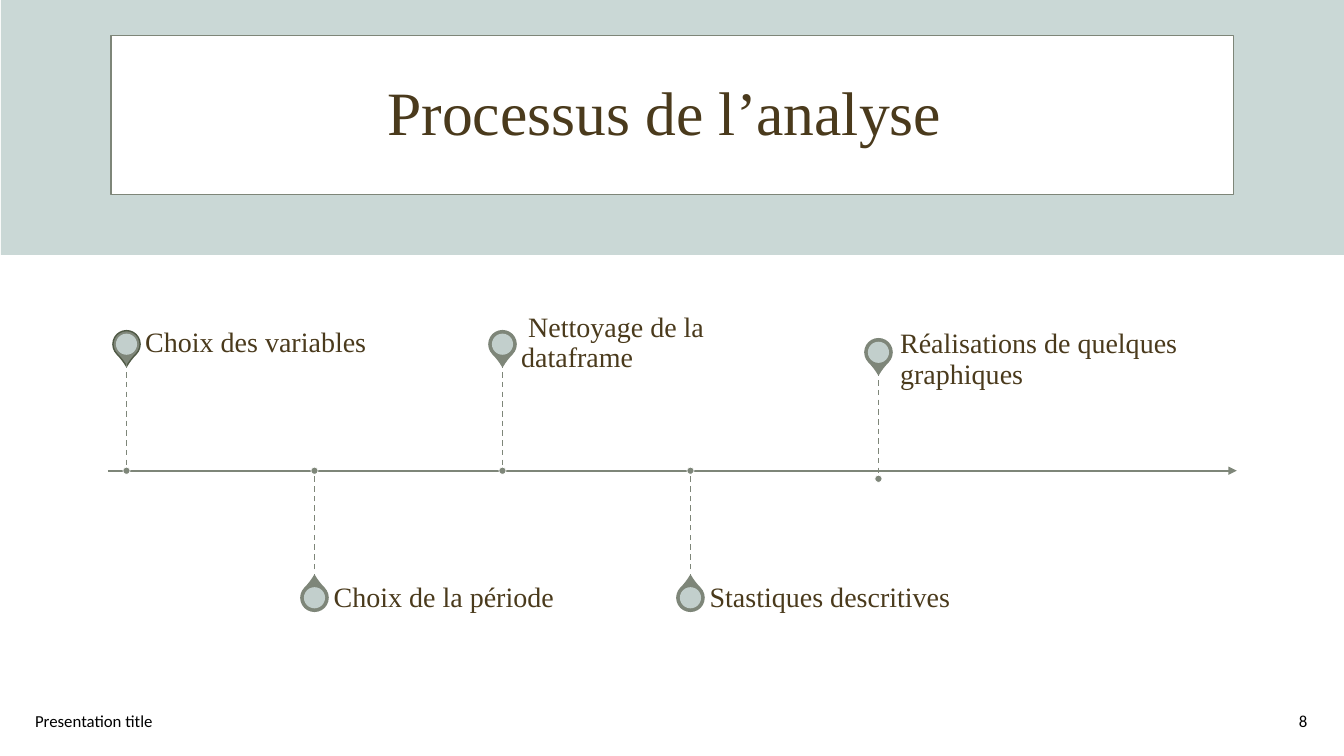
from dataclasses import dataclass

from pptx import Presentation
from pptx import util as u
from pptx.dml.color import RGBColor
from pptx.enum import dml, shapes, text
from pptx.oxml.ns import qn
from lxml import etree


@dataclass(frozen=True)
class Theme:
    pale: str = "CAD8D6"
    white: str = "FFFFFF"
    sage: str = "7E8679"
    moss: str = "4F5945"
    brown: str = "4A3A1C"
    black: str = "000000"
    serif: str = "Times New Roman"
    sans: str = "Calibri"
    title: int = 44
    label: int = 20
    footer: int = 12


THEME = Theme()
SHAPE = shapes.MSO_SHAPE
ALIGN = text.PP_ALIGN

# Square grid: ten cells to the inch
COLUMNS, ROWS = 133.33, 75
FIRST_PIN, PIN_STEP = 12.55, 18.65
AXIS_ROW, STEM, HEAD, DISC, DOT = 46.7, 10.75, 2.7, 2.1, 0.7
LABEL_INSETS = (0, 0, 1.4, 0)


def cells(count):
    return u.Inches(count / 10)


def colour(code):
    return RGBColor.from_string(code)


def set_all(thing, values):
    for name, value in values.items():
        setattr(thing, name, value)


def write(box, words, size, font, ink, align=ALIGN.LEFT, spacing=1.0, insets=None):
    frame = box.text_frame
    set_all(frame, {"word_wrap": True, "auto_size": text.MSO_AUTO_SIZE.NONE,
                    "vertical_anchor": text.MSO_ANCHOR.MIDDLE})
    if insets:
        sides = ("left", "top", "right", "bottom")
        set_all(frame, {f"margin_{side}": cells(inset)
                        for side, inset in zip(sides, insets)})
    para = frame.paragraphs[0]
    set_all(para, {"alignment": align, "line_spacing": spacing})
    span = para.add_run()
    span.text = words
    set_all(span.font, {"size": u.Pt(size), "name": font, "bold": False})
    span.font.color.rgb = colour(ink)


def add_text(page, place, *args, **options):
    write(page.shapes.add_textbox(*map(cells, place)), *args, **options)


def add_figure(page, kind, place, fill, line=None, weight=1):
    figure = page.shapes.add_shape(kind, *map(cells, place))
    figure.shadow.inherit = False
    figure.fill.solid()
    figure.fill.fore_color.rgb = colour(fill)
    if line:
        figure.line.color.rgb = colour(line)
        figure.line.width = u.Pt(weight)
    else:
        figure.line.fill.background()
    return figure


def add_circle(page, x, y, size, *style):
    place = (x - size / 2, y - size / 2, size, size)
    return add_figure(page, SHAPE.OVAL, place, *style)


def add_line(page, start, end, weight):
    line = page.shapes.add_connector(shapes.MSO_CONNECTOR.STRAIGHT,
                                     *map(cells, start + end))
    line.line.color.rgb = colour(THEME.sage)
    line.line.width = u.Pt(weight)
    etree.SubElement(line.element.spPr, qn("a:effectLst"))
    return line


def add_axis(page):
    axis = add_line(page, (10.7, AXIS_ROW), (122.7, AXIS_ROW), 1.5)
    outline = axis.element.spPr.find(qn("a:ln"))
    etree.SubElement(outline, qn("a:tailEnd"), type="triangle")


def add_pin(page, x, base, up, edge):
    """Pin standing on (up) or hanging from (down) the given row."""
    way = -1 if up else 1
    tip = base + way * STEM
    centre = tip + way * (1.8 if up else 1.85)

    # Head
    drop = add_figure(page, SHAPE.TEAR,
                      (x - HEAD / 2, centre - HEAD / 2, HEAD, HEAD),
                      THEME.sage, edge)
    drop.adjustments[0] = 1.15
    drop.rotation = 135 if up else 315
    disc = add_circle(page, x, centre, DISC, THEME.pale)
    paint = disc.element.spPr.find(qn("a:solidFill"))
    etree.SubElement(paint[0], qn("a:alpha"), val="90000")

    # Stem and foot
    stem = add_line(page, (x, tip), (x, base), 1)
    stem.line.dash_style = dml.MSO_LINE.DASH
    add_circle(page, x, base, DOT, THEME.sage, THEME.white, 0.5)


def add_heading(page, words):
    add_figure(page, SHAPE.RECTANGLE, (0.1, 0, COLUMNS, 25.3), THEME.pale)
    panel = add_figure(page, SHAPE.RECTANGLE, (11, 3.5, 111.4, 15.8),
                       THEME.white, THEME.sage)
    title = page.shapes.title
    panel.element.addnext(title.element)
    set_all(title, dict(zip(("left", "top", "width", "height"),
                            map(cells, (4.2, 4.2, 125, 14.5)))))
    write(title, words, THEME.title, THEME.serif, THEME.brown,
          ALIGN.CENTER, 0.9)


def main():
    deck = Presentation()
    set_all(deck, {"slide_width": cells(COLUMNS), "slide_height": cells(ROWS)})
    page = deck.slides.add_slide(deck.slide_layouts[5])
    add_heading(page, "Processus de l’analyse ")

    # Footer
    for words, place, align in (
            ("Presentation title", (2.5, 69.5, 45, 4), ALIGN.LEFT),
            ("8", (100.7, 69.5, 30, 4), ALIGN.RIGHT)):
        add_text(page, place, words, THEME.footer, THEME.sans, THEME.black, align)

    # Timeline: label, its place, row of the foot, edge of the head
    add_axis(page)
    steps = (
        ("Choix des variables", (14.4, 32.2, 31, 3.8), AXIS_ROW, THEME.moss),
        ("Choix de la période", (33.1, 57.5, 31, 3.8), AXIS_ROW, THEME.sage),
        ("\N{NO-BREAK SPACE}Nettoyage de la dataframe",
         (51.7, 32.2, 31, 3.8), AXIS_ROW, THEME.sage),
        ("Stastiques descritives", (70.4, 57.5, 31, 3.8), AXIS_ROW, THEME.sage),
        ("Réalisations de quelques graphiques",
         (89.3, 32.3, 33.4, 6.8), AXIS_ROW + 0.8, THEME.sage),
    )
    for index, (words, place, base, edge) in enumerate(steps):
        add_pin(page, FIRST_PIN + index * PIN_STEP, base, index % 2 == 0, edge)
        add_text(page, place, words, THEME.label, THEME.serif, THEME.brown,
                 spacing=0.9, insets=LABEL_INSETS)

    deck.save("out.pptx")


if __name__ == "__main__":
    main()
